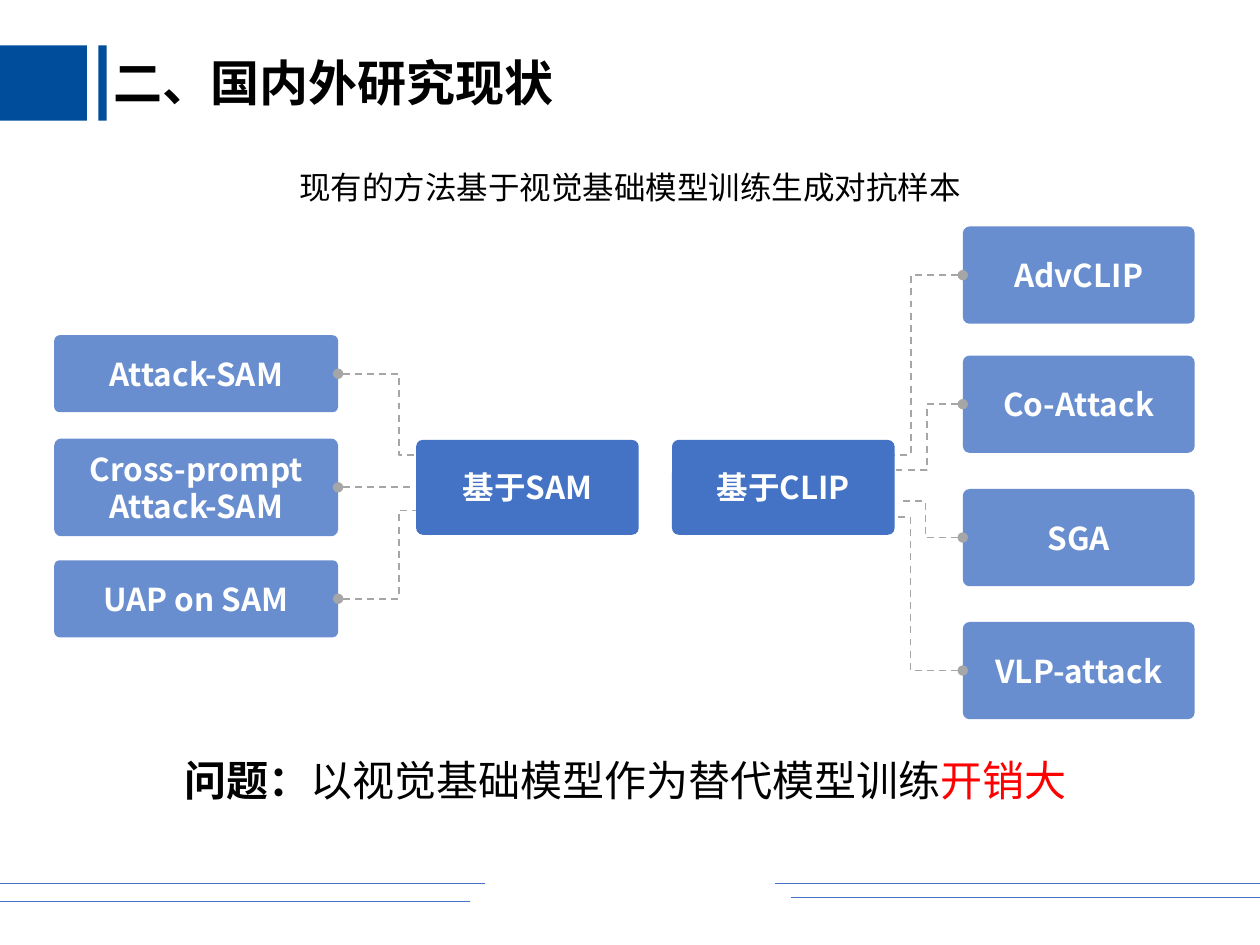
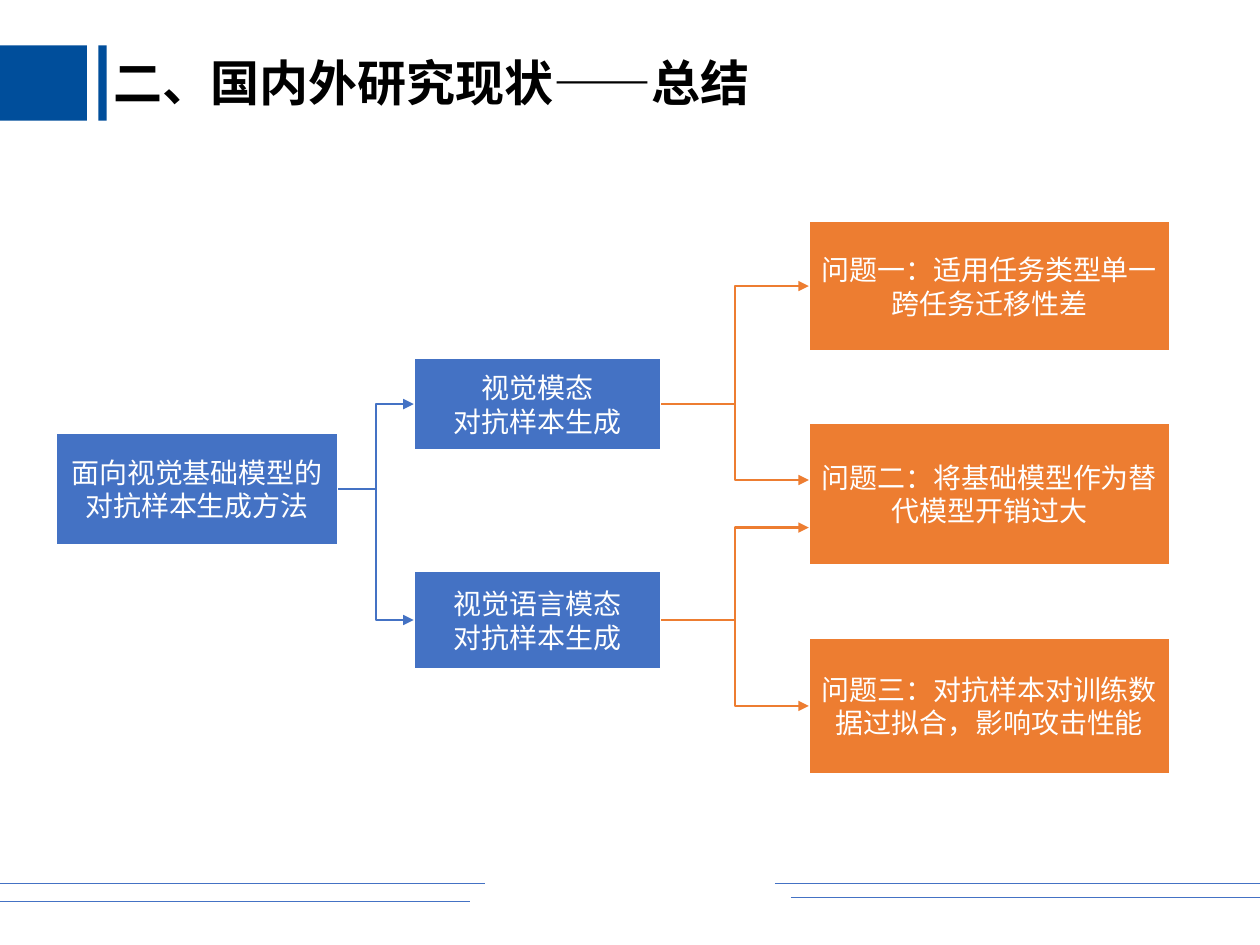
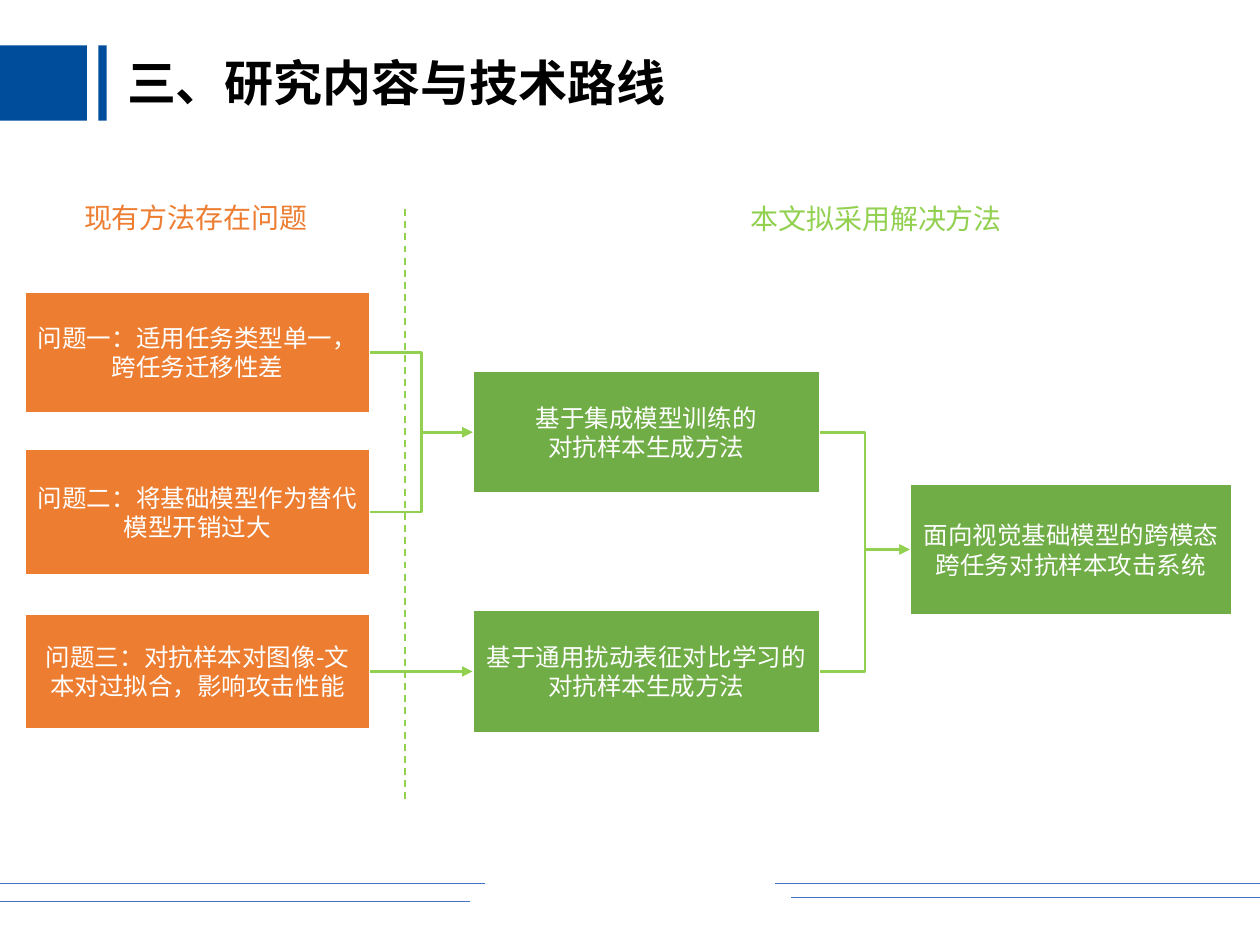
from dataclasses import dataclass
from typing import NamedTuple, Optional

from lxml.etree import SubElement
from pptx import Presentation
from pptx.dml.color import RGBColor
from pptx.enum.dml import MSO_LINE
from pptx.enum.shapes import MSO_CONNECTOR as Link, MSO_SHAPE as Shape
from pptx.enum.text import MSO_ANCHOR as Anchor, MSO_AUTO_SIZE as AutoSize, PP_ALIGN as Align
from pptx.oxml.ns import qn
from pptx.util import Pt


@dataclass(frozen=True)
class Theme:
    font: str = "Noto Sans CJK SC"
    navy: str = "004E9B"
    blue: str = "4472C4"
    orange: str = "ED7D31"
    green: str = "70AD47"
    lime: str = "92D050"
    grey: str = "A6A6A6"
    red: str = "FF0000"
    black: str = "000000"
    white: str = "FFFFFF"
    title: int = 28
    finding: int = 24
    node: int = 18
    body: int = 16
    small: int = 14


T = Theme()


class Run(NamedTuple):
    text: str
    bold: bool = False
    color: str = T.black


class Style(NamedTuple):
    size: int
    color: str = T.white
    bold: bool = False
    align: Align = Align.CENTER
    spacing: Optional[float] = None


class Box(NamedTuple):
    x: float
    y: float
    w: float
    h: float
    text: str = ""

    @property
    def right(self) -> float:
        return self.x + self.w

    @property
    def mid(self) -> float:
        return self.y + self.h / 2


class Wire(NamedTuple):
    color: str
    width: float = 1.5
    dash: bool = False
    head: str = ""
    tail: str = ""


TITLE = Style(T.title, T.black, True, Align.LEFT, 0.9)
NODE = Style(T.node, bold=True)
FOOTER = Wire(T.blue, 0.5)
BRANCH = Wire(T.grey, 1, dash=True, head="oval")
DIVIDER = Wire(T.lime, 1, dash=True)


def rgb(color: str) -> RGBColor:
    return RGBColor.from_string(color)


def write(tf, lines: list, style: Style) -> None:
    """Fill a frame, one paragraph per line; a line is a string or a list of runs."""
    for i, line in enumerate(lines):
        p = tf.paragraphs[0] if i == 0 else tf.add_paragraph()
        p.alignment = style.align
        p.line_spacing = style.spacing
        p.font.size, p.font.name = Pt(style.size), T.font
        SubElement(p._p.pPr.find(qn("a:defRPr")), qn("a:ea"), typeface=T.font)
        if isinstance(line, str):
            p.font.bold, p.font.color.rgb = style.bold, rgb(style.color)
            p.add_run().text = line
            continue
        for run in line:
            r = p.add_run()
            r.text = run.text
            r.font.bold, r.font.color.rgb = run.bold, rgb(run.color)


def text_box(s, box: Box, style: Style, runs: Optional[list] = None,
             wrap: bool = True, grow: bool = True) -> None:
    sp = s.shapes.add_textbox(Pt(box.x), Pt(box.y), Pt(box.w), Pt(box.h))
    tf = sp.text_frame
    tf.word_wrap = wrap
    tf.auto_size = AutoSize.SHAPE_TO_FIT_TEXT if grow else AutoSize.NONE
    write(tf, [runs or box.text], style)


def block(s, box: Box, fill: str, kind: Shape = Shape.RECTANGLE):
    sp = s.shapes.add_shape(kind, Pt(box.x), Pt(box.y), Pt(box.w), Pt(box.h))
    sp.shadow.inherit = False
    sp.fill.solid()
    sp.fill.fore_color.rgb = rgb(fill)
    sp.line.fill.background()
    return sp


def panel(s, box: Box, fill: str, size: int) -> None:
    """Square-cornered flow box with a white outline."""
    sp = block(s, box, fill)
    sp.line.color.rgb, sp.line.width = rgb(T.white), Pt(1.5)
    sp.text_frame.word_wrap = True
    sp.text_frame.vertical_anchor = Anchor.MIDDLE
    write(sp.text_frame, box.text.split("\n"), Style(size))


def node(s, box: Box, alpha: int = 100) -> None:
    """Rounded box with bold text; alpha is the opacity in percent."""
    sp = block(s, box, T.blue, Shape.ROUNDED_RECTANGLE)
    sp.adjustments[0] = 0.07
    if alpha < 100:
        color = sp.fill._xPr.find(qn("a:solidFill"))[0]
        SubElement(color, qn("a:alpha"), val=str(alpha * 1000))
    tf = sp.text_frame
    tf.word_wrap, tf.vertical_anchor = True, Anchor.MIDDLE
    tf.margin_left = tf.margin_right = Pt(14.4)
    tf.margin_top = tf.margin_bottom = Pt(7.2)
    write(tf, [box.text], NODE)


def connect(s, x1: float, y1: float, x2: float, y2: float, wire: Wire,
            kind: Link = Link.ELBOW, bend: float = 0.5) -> None:
    c = s.shapes.add_connector(kind, Pt(x1), Pt(y1), Pt(x2), Pt(y2))
    c.line.color.rgb, c.line.width = rgb(wire.color), Pt(wire.width)
    if wire.dash:
        c.line.dash_style = MSO_LINE.DASH
    pr = c._element.spPr
    if kind == Link.ELBOW:
        guides = pr.find(qn("a:prstGeom")).get_or_add_avLst()
        SubElement(guides, qn("a:gd"), name="adj1", fmla=f"val {round(bend * 100000)}")
    for tag, end in (("a:headEnd", wire.head), ("a:tailEnd", wire.tail)):
        if end:
            SubElement(pr.find(qn("a:ln")), qn(tag), type=end)
    SubElement(pr, qn("a:effectLst"))


def flow(s, start: Box, end: Box, color: str, shift: float = 0) -> None:
    """Arrow from the right side of one box to the left side of the next."""
    connect(s, start.right, start.mid, end.x, end.mid + shift, Wire(color, tail="triangle"))


def new_slide(prs, title: str, title_x: float = 57.6):
    s = prs.slides.add_slide(prs.slide_layouts[6])
    for x, w in ((0, 49.7), (56.2, 4.8)):
        block(s, Box(x, 26, w, 43), T.navy)
    for x1, x2, y in ((0, 268.6, 515), (452, 720, 512.6), (0, 277.2, 504.7), (442.8, 720, 504.7)):
        connect(s, x1, y, x2, y, FOOTER, Link.STRAIGHT)
    text_box(s, Box(title_x, 30.2, 720 - title_x, 42.5, title), TITLE, grow=False)
    return s


def status_slide(prs) -> None:
    s = new_slide(prs, "二、国内外研究现状")
    text_box(s, Box(152, 92.2, 416, 28.8, "现有的方法基于视觉基础模型训练生成对抗样本"),
             Style(T.node, T.black))
    sam_methods = (
        (Box(31, 191.6, 162.2, 44, "Attack-SAM"), 262.8, 260),
        (Box(31, 250.6, 162.2, 55.8, "Cross-prompt Attack-SAM"), 237.6, 278.5),
        (Box(31, 320.2, 162.2, 44, "UAP on SAM"), 262.8, 291.8),
    )
    clip_methods = (
        (Box(550.2, 129.4, 132.5, 55.6, "AdvCLIP"), 440, 260, 0.27),
        (Box(550.2, 203.2, 132.5, 55.6, "Co-Attack"), 509, 268.6, 0.5),
        (Box(550.2, 279.4, 132.5, 55.6, "SGA"), 513.4, 286.4, 0.58),
        (Box(550.2, 355.4, 132.5, 55.6, "VLP-attack"), 453.6, 295.4, 0.31),
    )
    for box, x, y in sam_methods:
        node(s, box, 80)
        connect(s, box.right, box.mid, x, y, BRANCH)
    for box, x, y, bend in clip_methods:
        node(s, box, 80)
        connect(s, box.x, box.mid, x, y, BRANCH, bend=bend)
    for x, name in ((237.8, "基于SAM"), (384, "基于CLIP")):
        node(s, Box(x, 251.4, 127.2, 54.2, name))
    finding = [Run("问题：", bold=True), Run("以视觉基础模型作为替代模型训练"),
               Run("开销大", color=T.red)]
    text_box(s, Box(98.6, 427.7, 522.7, 36), Style(T.finding, align=Align.LEFT), finding)


def summary_slide(prs) -> None:
    s = new_slide(prs, "二、国内外研究现状——总结")
    method = Box(32, 247.2, 161.2, 64.4, "面向视觉基础模型的\n对抗样本生成方法")
    vision = Box(236.4, 204.4, 141.6, 53, "视觉模态\n对抗样本生成")
    language = Box(236.4, 326.2, 141.6, 56.2, "视觉语言模态\n对抗样本生成")
    single = Box(462.2, 126, 206.6, 75, "问题一：适用任务类型单一跨任务迁移性差")
    costly = Box(462.2, 241.4, 206.6, 81.8, "问题二：将基础模型作为替代模型开销过大")
    overfit = Box(462.2, 364.2, 206.6, 78.4, "问题三：对抗样本对训练数据过拟合，影响攻击性能")
    for box in (method, vision, language):
        panel(s, box, T.blue, T.body)
    for box in (single, costly, overfit):
        panel(s, box, T.orange, T.body)
    for modality in (vision, language):
        flow(s, method, modality, T.blue)
    for modality, problem, shift in ((vision, single, 0), (vision, costly, -8),
                                     (language, costly, 19.2), (language, overfit, 0)):
        flow(s, modality, problem, T.orange, shift)


def route_slide(prs) -> None:
    s = new_slide(prs, "三、研究内容与技术路线", 65.5)
    single = Box(14.4, 166.6, 197, 69.6, "问题一：适用任务类型单一，跨任务迁移性差")
    costly = Box(14.4, 256.4, 197, 72.4, "问题二：将基础模型作为替代模型开销过大")
    overfit = Box(14.4, 350.6, 197, 66.2, "问题三：对抗样本对图像-文本对过拟合，影响攻击性能")
    ensemble = Box(270, 211.8, 198.7, 70.4, "基于集成模型训练的\n对抗样本生成方法")
    contrast = Box(270, 348.5, 198.7, 70.4, "基于通用扰动表征对比学习的对抗样本生成方法")
    system = Box(519.8, 276.6, 184.4, 74.8, "面向视觉基础模型的跨模态跨任务对抗样本攻击系统")
    for box in (single, costly, overfit):
        panel(s, box, T.orange, T.small)
    connect(s, 231.6, 119.5, 231.6, 459.4, DIVIDER, Link.STRAIGHT)
    for box in (ensemble, contrast, system):
        panel(s, box, T.green, T.small)
    for start, end in ((single, ensemble), (costly, ensemble), (overfit, contrast),
                       (ensemble, system), (contrast, system)):
        flow(s, start, end, T.lime)
    for box, color in ((Box(41, 110.9, 144, 26.6, "现有方法存在问题"), T.orange),
                       (Box(421.9, 111.6, 160, 26.6, "本文拟采用解决方法"), T.lime)):
        text_box(s, box, Style(T.body, color, align=Align.LEFT), wrap=False)


def main() -> None:
    prs = Presentation()
    prs.slide_width, prs.slide_height = Pt(720), Pt(540)
    status_slide(prs)
    summary_slide(prs)
    route_slide(prs)
    prs.save("out.pptx")


if __name__ == "__main__":
    main()
